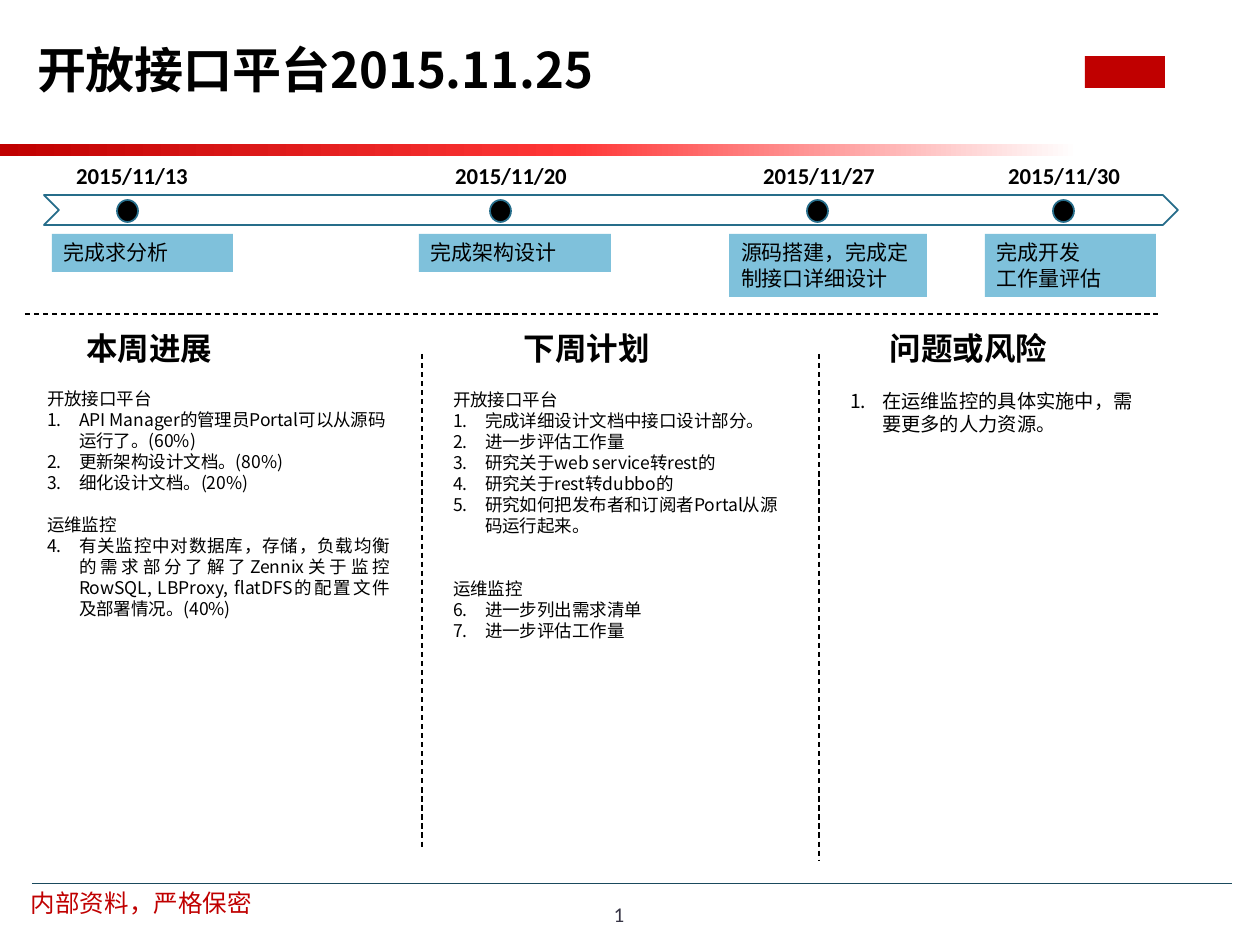
"""Weekly status slide with a milestone timeline and three columns."""
from dataclasses import dataclass

from lxml import etree
from pptx import Presentation
from pptx.dml.color import RGBColor
from pptx.enum import dml, shapes, text
from pptx.oxml.ns import qn
from pptx.util import Emu, Pt

SCALE = 914400 / 126
LEFT, CENTER, JUSTIFY = text.PP_ALIGN.LEFT, text.PP_ALIGN.CENTER, text.PP_ALIGN.JUSTIFY


@dataclass(frozen=True)
class Theme:
    """Colours, fonts and type sizes."""
    ink: str = "000000"
    red: str = "C00000"
    bright_red: str = "FF3737"
    white: str = "FFFFFF"
    label: str = "7FC1DB"
    outline: str = "266D8A"
    rule: str = "1A4A5D"
    number: str = "373545"
    cjk: str = "Noto Sans CJK SC"
    latin: str = "Calibri"
    title: int = 28
    heading: int = 18
    footer: int = 14
    date: int = 13
    small: int = 12
    risk: int = 11
    body: int = 10


THEME = Theme()


@dataclass(frozen=True)
class Item:
    """One list paragraph."""
    words: str
    numbered: bool = True
    align: int = LEFT
    blanks: int = 0


def px(length):
    """Turn pixels into EMU."""
    return Emu(round(length * SCALE))


def rgb(color):
    """Turn a hex string into a colour."""
    return RGBColor.from_string(color)


def write(paragraph, words, size=THEME.body, color=THEME.ink, font=THEME.cjk,
          bold=False, align=LEFT, before=0, leading=1.2):
    """Write formatted words into a paragraph."""
    paragraph.alignment = align
    paragraph.space_before = Pt(before)
    if leading:
        paragraph.line_spacing = Pt(round(size * leading, 1))
    run = paragraph.add_run()
    run.text = words
    run.font.size, run.font.bold, run.font.name = Pt(size), bold, font
    run.font.color.rgb = rgb(color)
    etree.SubElement(run.font._element, qn("a:ea"), typeface=font)


def number(paragraph, numbered):
    """Set the hanging indent and the list number."""
    properties = paragraph._p.get_or_add_pPr()
    properties.set("marL", str(px(32)))
    properties.set("indent", str(px(-32)))
    if numbered:
        etree.SubElement(properties, qn("a:buFont"), typeface="+mj-lt")
        etree.SubElement(properties, qn("a:buAutoNum"), type="arabicPeriod")
    else:
        etree.SubElement(properties, qn("a:buNone"))


class Board:
    """Draws elements on one slide in one style."""

    def __init__(self, slide, theme):
        self.slide, self.theme = slide, theme

    def place(self, shape, x, y, width, height):
        """Move and size a shape."""
        shape.left, shape.top, shape.width, shape.height = map(px, (x, y, width, height))

    def frame(self, shape, anchor=text.MSO_ANCHOR.TOP):
        """Prepare and return a text frame."""
        frame = shape.text_frame
        frame.word_wrap = True
        frame.auto_size = text.MSO_AUTO_SIZE.NONE
        frame.vertical_anchor = anchor
        frame.margin_left = frame.margin_right = px(12)
        frame.margin_top = frame.margin_bottom = px(6)
        return frame

    def lines(self, shape, words, **style):
        """Write one paragraph per line of words."""
        frame = self.frame(shape)
        for index, line in enumerate(words.split("\n")):
            paragraph = frame.add_paragraph() if index else frame.paragraphs[0]
            write(paragraph, line, **style)

    def title(self, words, *box):
        """Fill the title placeholder."""
        shape = self.slide.shapes.title
        self.place(shape, *box)
        frame = self.frame(shape, text.MSO_ANCHOR.MIDDLE)
        write(frame.paragraphs[0], words, size=self.theme.title, bold=True, leading=None)

    def text(self, words, *box, **style):
        """Add a text box."""
        self.lines(self.slide.shapes.add_textbox(*map(px, box)), words, **style)

    def listing(self, shape, items, size, *box):
        """Fill a body placeholder with a list."""
        self.place(shape, *box)
        frame = self.frame(shape)
        for index, item in enumerate(items):
            paragraph = frame.add_paragraph() if index else frame.paragraphs[0]
            write(paragraph, item.words, size=size, align=item.align,
                  before=item.blanks * size * 1.2)
            number(paragraph, item.numbered)

    def shape(self, kind, *box, fill=None, line=None):
        """Add a preset shape."""
        shape = self.slide.shapes.add_shape(kind, *map(px, box))
        shape.shadow.inherit = False
        if fill:
            shape.fill.solid()
            shape.fill.fore_color.rgb = rgb(fill)
        else:
            shape.fill.background()
        if line:
            shape.line.color.rgb = rgb(line)
            shape.line.width = Pt(1)
        else:
            shape.line.fill.background()
        return shape

    def band(self, stops, *box):
        """Add a bar with a horizontal gradient."""
        shape = self.shape(shapes.MSO_SHAPE.RECTANGLE, *box)
        shape.fill.gradient()
        shape.fill.gradient_angle = 0
        stop_list = shape._element.spPr.find(".//" + qn("a:gsLst"))
        for stop in list(stop_list):
            stop_list.remove(stop)
        for percent, color in stops:
            stop = etree.SubElement(stop_list, qn("a:gs"), pos=str(percent * 1000))
            etree.SubElement(stop, qn("a:srgbClr"), val=color)

    def rule(self, x1, y1, x2, y2, color=THEME.ink, width=0.75, dashed=True):
        """Add a straight line."""
        line = self.slide.shapes.add_connector(
            shapes.MSO_CONNECTOR.STRAIGHT, *map(px, (x1, y1, x2, y2)))
        line.line.color.rgb = rgb(color)
        line.line.width = Pt(width)
        if dashed:
            line.line.dash_style = dml.MSO_LINE.DASH
        etree.SubElement(line._element.spPr, qn("a:effectLst"))


MILESTONES = [
    ("2015/11/13", 132, 127, "完成求分析", 52, 181),
    ("2015/11/20", 511, 500, "完成架构设计", 419, 192),
    ("2015/11/27", 819, 817, "源码搭建，完成定制接口详细设计", 729, 198),
    ("2015/11/30", 1064, 1063, "完成开发\n工作量评估", 985, 171),
]
PROGRESS = [
    Item("开放接口平台", numbered=False),
    Item("API Manager的管理员Portal可以从源码运行了。(60%)"),
    Item("更新架构设计文档。(80%)"),
    Item("细化设计文档。(20%)"),
    Item("运维监控", numbered=False, blanks=1),
    Item("有关监控中对数据库，存储，负载均衡的需求部分了解了Zennix关于监控"
         "RowSQL, LBProxy, flatDFS的配置文件及部署情况。(40%)", align=JUSTIFY),
]
PLAN = [
    Item("开放接口平台", numbered=False),
    Item("完成详细设计文档中接口设计部分。", align=JUSTIFY),
    Item("进一步评估工作量", align=JUSTIFY),
    Item("研究关于web service转rest的"),
    Item("研究关于rest转dubbo的"),
    Item("研究如何把发布者和订阅者Portal从源码运行起来。"),
    Item("运维监控", numbered=False, blanks=2),
    Item("进一步列出需求清单"),
    Item("进一步评估工作量", align=JUSTIFY),
]
RISKS = [Item("在运维监控的具体实施中，需要更多的人力资源。")]
COLUMNS = [
    ("本周进展", 74, PROGRESS, THEME.body, (35, 382, 367, 246)),
    ("下周计划", 512, PLAN, THEME.body, (441, 383, 357, 292)),
    ("问题或风险", 878, RISKS, THEME.risk, (838, 383, 317, 84)),
]


def main():
    """Build and save the slide."""
    presentation = Presentation()
    presentation.slide_width, presentation.slide_height = px(1260), px(945)
    slide = presentation.slides.add_slide(presentation.slide_layouts[4])
    board = Board(slide, THEME)
    preset = shapes.MSO_SHAPE

    board.band([(0, THEME.red), (53, THEME.bright_red), (100, THEME.white)], 0, 144, 1078, 12)
    board.rule(32, 883, 1232, 883, color=THEME.rule, width=0.5, dashed=False)
    board.text("内部资料，严格保密", 15, 882, 253, 45, size=THEME.footer,
               color=THEME.red, align=CENTER)
    board.shape(preset.RECTANGLE, 1085, 56, 80, 32, fill=THEME.red)
    board.title("开放接口平台2015.11.25", 25, 10, 1134, 117)
    board.text("1", 589, 896, 60, 40, size=THEME.small, color=THEME.number,
               font=THEME.latin, align=CENTER)

    board.shape(preset.CHEVRON, 44, 195, 1134, 30, line=THEME.outline)
    for date, date_center, dot_center, label, x, width in MILESTONES:
        board.text(date, date_center - 75, 156, 150, 42, size=THEME.date,
                   font=THEME.latin, bold=True, align=CENTER)
        board.shape(preset.OVAL, dot_center - 10, 200, 21, 22,
                    fill=THEME.ink, line=THEME.outline)
        height = 63 if len(label) > 6 else 38
        box = board.shape(preset.RECTANGLE, x, 234, width, height, fill=THEME.label)
        board.lines(box, label, size=THEME.small)

    board.rule(25, 314, 1158, 314)
    board.rule(422, 354, 422, 850)
    board.rule(819, 354, 819, 861)
    bodies = list(slide.placeholders)[1:]
    for body, (heading, x, items, size, box) in zip(bodies, COLUMNS):
        board.text(heading, x, 323, 230, 50, size=THEME.heading, bold=True)
        board.listing(body, items, size, *box)
    for spare in bodies[len(COLUMNS):]:
        spare._element.getparent().remove(spare._element)
    presentation.save("out.pptx")


main()
